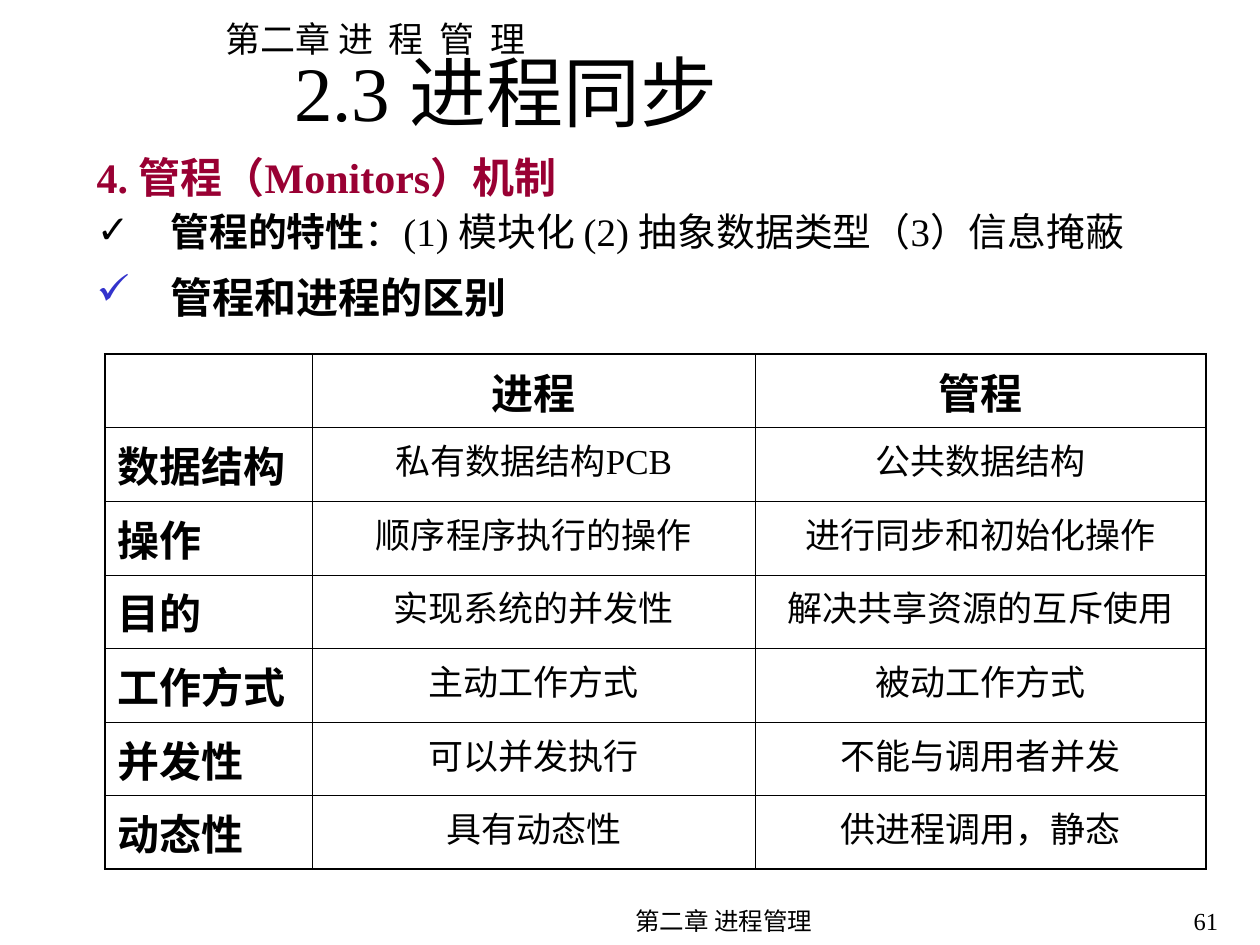
import dataclasses

import lxml.etree
import pptx
import pptx.dml.color
import pptx.enum.text
import pptx.oxml
import pptx.oxml.ns
import pptx.util

Cm = pptx.util.Cm
Pt = pptx.util.Pt
ALIGN = pptx.enum.text.PP_ALIGN
ANCHOR = pptx.enum.text.MSO_ANCHOR
qn = pptx.oxml.ns.qn


@dataclasses.dataclass(frozen=True)
class Theme:
    ink: str = "000000"
    accent: str = "990033"
    tick: str = "3333CC"
    serif: str = "Times New Roman"
    sans: str = "Arial"
    cjk: str = "Noto Sans CJK SC"
    title: float = 44
    heading: float = 24
    point: float = 22.2
    text: float = 20
    footer: float = 14
    outer_line: float = 1.08
    inner_line: float = 0.45


THEME = Theme()


def apply(target, values):
    for name, value in values.items():
        setattr(target, name, value)


def add_run(paragraph, wording, size, bold=False, font=THEME.serif, color=THEME.ink):
    run = paragraph.add_run()
    run.text = wording
    apply(run.font, {"size": Pt(size), "bold": bold, "name": font})
    run.font.color.rgb = pptx.dml.color.RGBColor.from_string(color)
    east_asian = lxml.etree.Element(qn("a:ea"), typeface=THEME.cjk)
    run.font._element.find(qn("a:latin")).addnext(east_asian)


def place(part, box, left, top, width, height):
    apply(part, {"left": Cm(box[0] + left), "top": Cm(box[1] + top),
                 "width": Cm(width), "height": Cm(height)})


def open_frame(part, wrap=True, anchor=ANCHOR.TOP):
    frame = part.text_frame
    apply(frame, {"auto_size": pptx.enum.text.MSO_AUTO_SIZE.NONE,
                  "word_wrap": wrap, "vertical_anchor": anchor})
    return frame.paragraphs[0]


def add_label(slide, box, bounds, wrap=True):
    label = slide.shapes.add_textbox(0, 0, 0, 0)
    place(label, box, *bounds)
    return open_frame(label, wrap)


def add_tick(paragraph, color):
    properties = paragraph._p.get_or_add_pPr()
    apply_indent = {"marL": Cm(1.48), "indent": -Cm(1.48)}
    for name, value in apply_indent.items():
        properties.set(name, str(int(value)))
    bullet_color = lxml.etree.SubElement(properties, qn("a:buClr"))
    lxml.etree.SubElement(bullet_color, qn("a:srgbClr"), val=color)
    lxml.etree.SubElement(properties, qn("a:buChar"), char="✓")


def build_top(slide, box):
    chapter = add_label(slide, box, (2.79, 0, 6.71, 1.12), wrap=False)
    add_run(chapter, "第二章 进  程  管  理", THEME.text, font=THEME.cjk)
    title = slide.shapes.title
    place(title, box, 0, 0.89, 17.4, 1.4)
    section = open_frame(title, anchor=ANCHOR.MIDDLE)
    section.alignment = ALIGN.CENTER
    add_run(section, "2.3 进程同步", THEME.title)


def build_points(slide, box):
    topic = add_label(slide, box, (0, 0, 18.39, 1.27))
    topic.space_before = Pt(15)
    add_run(topic, "4. 管程（Monitors）机制", THEME.heading, True, color=THEME.accent)

    features_body = slide.placeholders[1]
    place(features_body, box, 0, 1.4, 23.22, 0.99)
    features = open_frame(features_body)
    apply(features, {"line_spacing": 0.7, "space_before": Pt(6), "alignment": ALIGN.LEFT})
    add_tick(features, THEME.ink)
    add_run(features, "管程的特性", THEME.point, True)
    add_run(features, "：(1) 模块化 (2) 抽象数据类型（3）信息掩蔽", THEME.point)

    difference = add_label(slide, box, (0, 2.62, 22.81, 0.99))
    apply(difference, {"line_spacing": 0.8, "space_before": Pt(6)})
    add_tick(difference, THEME.tick)
    add_run(difference, "管程和进程的区别", THEME.heading, True)


def draw_borders(cell, outer_sides):
    properties = cell._tc.get_or_add_tcPr()
    for order, side in enumerate("LRTB"):
        weight = THEME.outer_line if side in outer_sides else THEME.inner_line
        line = lxml.etree.Element(qn("a:ln" + side), w=str(int(Pt(weight))))
        fill = lxml.etree.SubElement(line, qn("a:solidFill"))
        lxml.etree.SubElement(fill, qn("a:srgbClr"), val=THEME.ink)
        properties.insert(order, line)


def build_comparison(slide, box):
    rows = [
        ("", "进程", "管程"),
        ("数据结构", "私有数据结构PCB", "公共数据结构"),
        ("操作", "顺序程序执行的操作", "进行同步和初始化操作"),
        ("目的", "实现系统的并发性", "解决共享资源的互斥使用"),
        ("工作方式", "主动工作方式", "被动工作方式"),
        ("并发性", "可以并发执行", "不能与调用者并发"),
        ("动态性", "具有动态性", "供进程调用，静态"),
    ]
    widths = (4.19, 8.92, 9.09)
    heights = (1.42, 1.37) + (1.42,) * 5
    bounds = [Cm(value) for value in (*box, sum(widths), sum(heights))]
    table = slide.shapes.add_table(len(rows), len(widths), *bounds).table
    apply(table, {"first_row": False, "horz_banding": False})
    for column, width in zip(table.columns, widths):
        column.width = Cm(width)
    last_row, last_column = len(rows) - 1, len(widths) - 1
    for r, (aspects, height) in enumerate(zip(rows, heights)):
        table.rows[r].height = Cm(height)
        for c, wording in enumerate(aspects):
            cell = table.cell(r, c)
            cell.fill.background()
            outer = {"L": c == 0, "R": c == last_column, "T": r == 0, "B": r == last_row}
            draw_borders(cell, [side for side, is_outer in outer.items() if is_outer])
            if not wording:
                continue
            is_label = r == 0 or c == 0
            paragraph = cell.text_frame.paragraphs[0]
            apply(paragraph, {"alignment": ALIGN.CENTER if c else ALIGN.LEFT,
                              "space_before": Pt(6 if is_label else 5)})
            if is_label:
                add_run(paragraph, wording, THEME.heading, True, THEME.sans)
            else:
                add_run(paragraph, wording, THEME.text)


def build_footer(slide, box):
    footer_parts = [
        ("第二章 进程管理", (0, 0, 13.79, 0.91), ALIGN.CENTER),
        ("61", (14.8, 0, 2.31, 0.91), ALIGN.RIGHT),
    ]
    for wording, bounds, alignment in footer_parts:
        paragraph = add_label(slide, box, bounds)
        paragraph.alignment = alignment
        add_run(paragraph, wording, THEME.footer)


def main():
    deck = pptx.Presentation()
    apply(deck, {"slide_width": Cm(25.4), "slide_height": Cm(19.05)})
    slide = deck.slides.add_slide(deck.slide_layouts[1])
    build_top(slide, (1.5, 0.23))
    build_points(slide, (1.7, 2.92))
    build_comparison(slide, (2.11, 7.14))
    build_footer(slide, (7.7, 18.14))
    deck.save("out.pptx")


if __name__ == "__main__":
    main()
